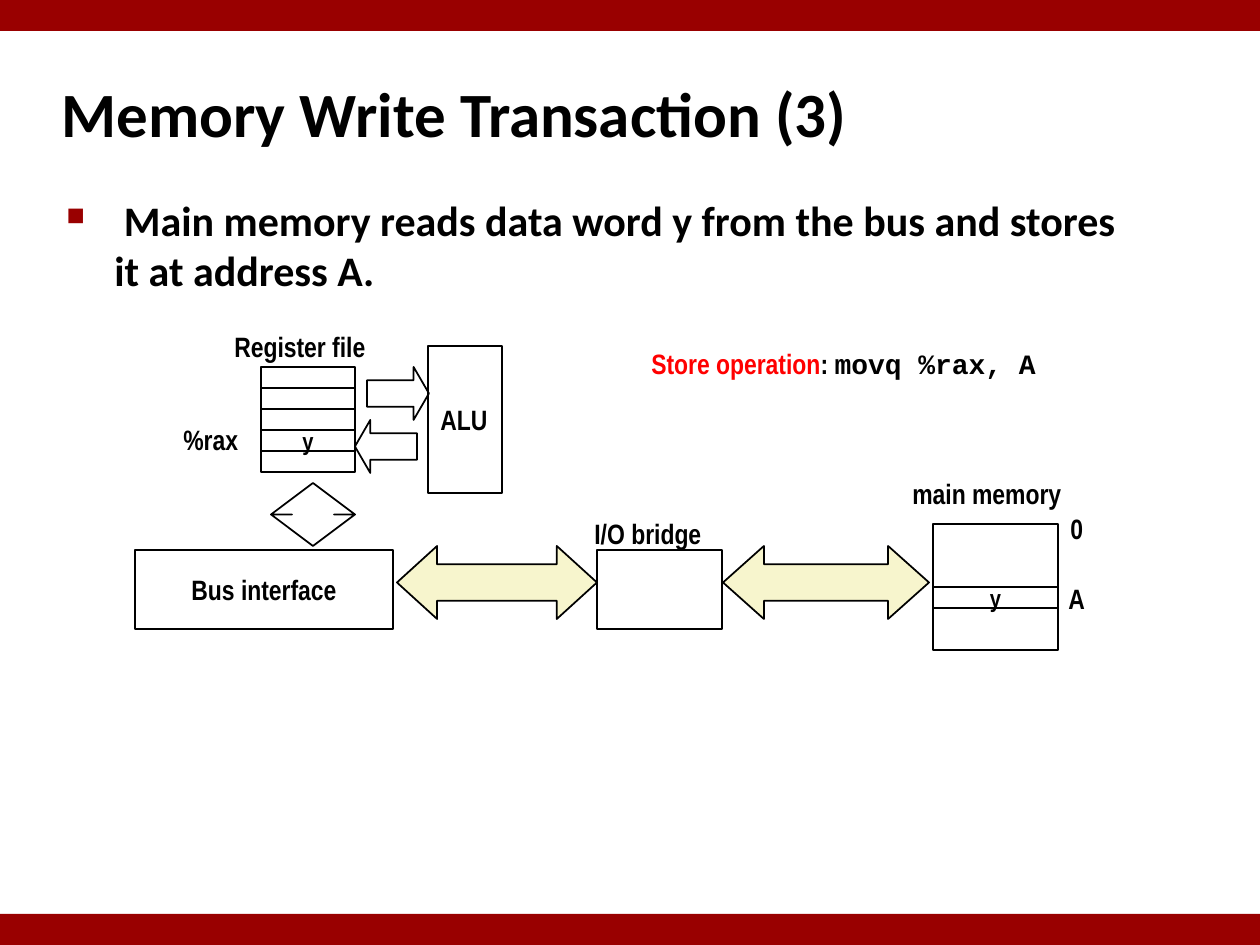
from pptx import Presentation
from pptx import util as u
from pptx.dml.color import RGBColor
from pptx.enum import shapes, text
from pptx.oxml import parse_xml
from pptx.oxml.ns import nsdecls

PX = 914400 / 126
WIDTH, HEIGHT = 1260, 945

THEME = {
    "bar": "990000", "ink": "000000", "accent": "FF0000",
    "bus": "F7F5CD", "paper": "FFFFFF",
    "title": 36, "body": 24, "label": 16, "value": 14,
    "heading_font": "Calibri", "label_font": "Arial Narrow", "code_font": "Courier New",
}

# Content: boxes are left, top, width, height in px
TITLE = ("Memory Write Transaction (3)", (49, 60, 1046, 105))
BODY = (" Main memory reads data word y from the bus and stores it at address A.",
        (54, 188, 1089, 685))
BAR_HEIGHT = 31

REGISTERS = ["", "", "", "y", ""]
REGISTER_BOX, REGISTER_STEP = (261, 367, 94, 21), 21

BLOCKS = [  # text, box, fill, size, alignment
    ("", (933, 524, 125, 126), None, "label", "CENTER"),
    ("", (597, 550, 125, 79), None, "label", "CENTER"),
    ("ALU", (428, 346, 74, 147), None, "label", "LEFT"),
    ("Bus interface", (135, 550, 258, 79), "paper", "label", "CENTER"),
    ("y", (933, 587, 125, 21), None, "value", "CENTER"),
]
ARROWS = [  # kind, box, adjustments, fill (the vertical arrow takes its head length first)
    ("LEFT_RIGHT_ARROW", (723, 546, 206, 73), (0.5, 0.56), "bus"),
    ("LEFT_RIGHT_ARROW", (397, 546, 200, 73), (0.5, 0.55), "bus"),
    ("RIGHT_ARROW", (367, 367, 62, 53), (0.5, 0.29), None),
    ("LEFT_ARROW", (355, 420, 62, 53), (0.5, 0.29), None),
    ("UP_DOWN_ARROW", (271, 483, 84, 63), (0.2, 0.5), None),
]
LABELS = [
    ("Register file", (222, 323, 159, 47)),
    ("main memory", (900, 470, 208, 47)),
    ("0", (1058, 505, 40, 47)),
    ("A", (1056, 575, 45, 47)),
    ("%rax", (171, 416, 81, 47)),
    ("I/O bridge", (582, 510, 156, 47)),
]
OPERATION_BOX = (639, 340, 416, 81)
OPERATION = [("Store operation", "accent", "label_font"), (": ", "ink", "label_font"),
             ("movq %rax, A", "ink", "code_font")]


def emu(box):
    return [round(value * PX) for value in box]


def color(key):
    return RGBColor.from_string(THEME[key])


def write(frame, runs, size, align="LEFT", anchor="MIDDLE", wrap=False):
    settings = {"word_wrap": wrap, "vertical_anchor": getattr(text.MSO_ANCHOR, anchor)}
    for name, value in settings.items():
        setattr(frame, name, value)
    paragraph = frame.paragraphs[0]
    paragraph.alignment = getattr(text.PP_ALIGN, align)
    for words, ink, font in runs:
        run = paragraph.add_run()
        run.text = words
        run.font.color.rgb = color(ink)
        for name, value in {"name": THEME[font], "size": u.Pt(THEME[size]), "bold": True}.items():
            setattr(run.font, name, value)
    return paragraph


def add_shape(slide, kind, box, fill=None, line="ink"):
    shape = slide.shapes.add_shape(getattr(shapes.MSO_SHAPE, kind), *emu(box))
    shape.shadow.inherit = False
    if fill:
        shape.fill.solid()
        shape.fill.fore_color.rgb = color(fill)
    else:
        shape.fill.background()
    if line:
        shape.line.color.rgb = color(line)
        shape.line.width = u.Pt(1)
    else:
        shape.line.fill.background()
    return shape


def add_block(slide, words, box, fill, size, align):
    block = add_shape(slide, "RECTANGLE", box, fill)
    if words:
        write(block.text_frame, [(words, "ink", "label_font")], size, align)


def add_label(slide, runs, box, anchor="MIDDLE"):
    frame = slide.shapes.add_textbox(*emu(box)).text_frame
    write(frame, runs, "label", anchor=anchor)
    frame.auto_size = text.MSO_AUTO_SIZE.SHAPE_TO_FIT_TEXT


def add_bullet(paragraph, indent):
    properties = paragraph._p.get_or_add_pPr()
    properties.set("marL", str(indent))
    properties.set("indent", str(-indent))
    for element in (f'<a:buClr {nsdecls("a")}><a:srgbClr val="{THEME["bar"]}"/></a:buClr>',
                    f'<a:buSzPct {nsdecls("a")} val="60000"/>',
                    f'<a:buChar {nsdecls("a")} char="■"/>'):
        properties.append(parse_xml(element))


def main():
    deck = Presentation()
    deck.slide_width, deck.slide_height = emu((WIDTH, HEIGHT))
    slide = deck.slides.add_slide(deck.slide_layouts[6])

    # Heading and statement
    words, box = TITLE
    write(slide.shapes.add_textbox(*emu(box)).text_frame,
          [(words, "ink", "heading_font")], "title", wrap=True)
    words, box = BODY
    statement = write(slide.shapes.add_textbox(*emu(box)).text_frame,
                      [(words, "ink", "heading_font")], "body", anchor="TOP", wrap=True)
    add_bullet(statement, round(48 * PX))

    # Hardware blocks, registers and buses
    for block in BLOCKS:
        add_block(slide, *block)
    left, top, width, height = REGISTER_BOX
    for row, value in enumerate(REGISTERS):
        add_block(slide, value, (left, top + row * REGISTER_STEP, width, height),
                  None, "value", "CENTER")
    for kind, box, adjustments, fill in ARROWS:
        arrow = add_shape(slide, kind, box, fill)
        for index, value in enumerate(adjustments):
            arrow.adjustments[index] = value

    # Labels and the instruction
    for words, box in LABELS:
        add_label(slide, [(words, "ink", "label_font")], box)
    add_label(slide, OPERATION, OPERATION_BOX, "TOP")

    # Bars along the top and bottom edges
    for top in (0, HEIGHT - BAR_HEIGHT):
        add_shape(slide, "RECTANGLE", (0, top, WIDTH, BAR_HEIGHT), "bar", line=None)

    deck.save("out.pptx")


if __name__ == "__main__":
    main()
